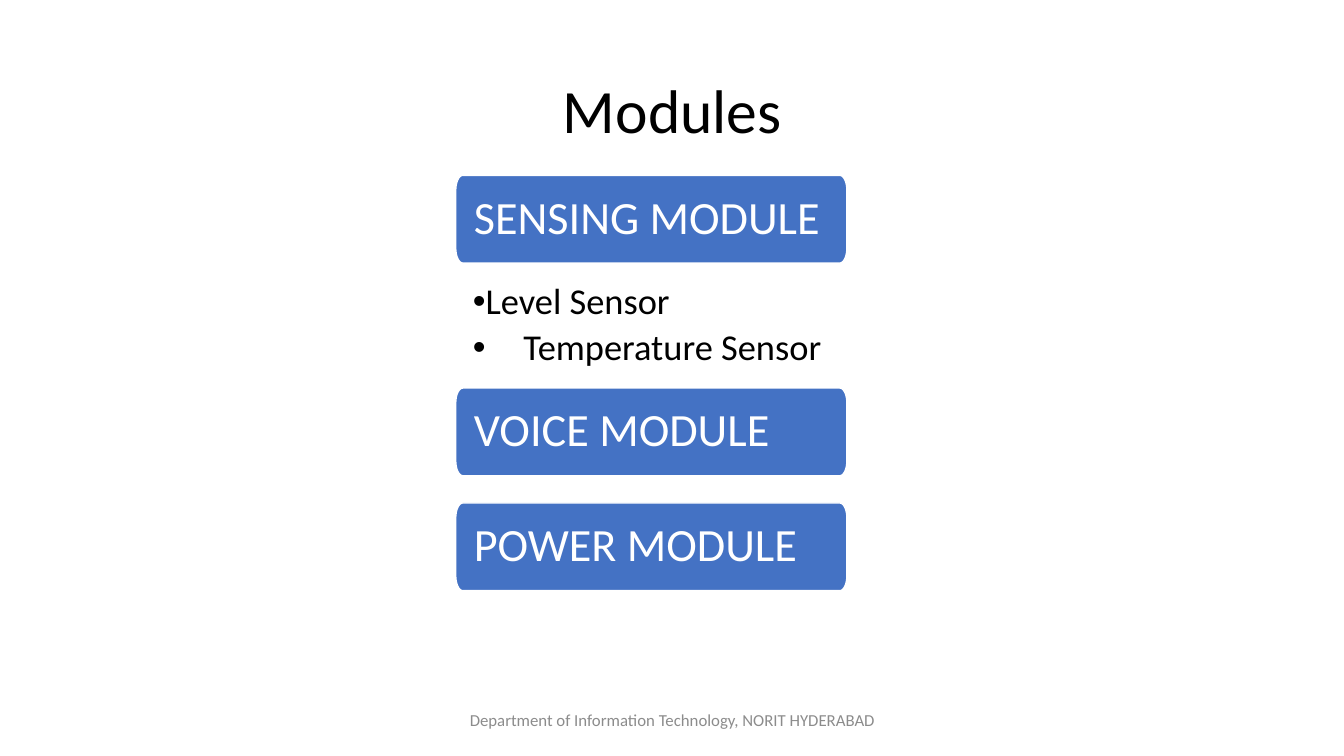
"""Builds the slide that lists the project modules."""
from math import cos, pi, sin

from pptx import Presentation, util as u
from pptx.dml.color import RGBColor
from pptx.enum import text
from pptx.oxml import parse_xml
from pptx.oxml.ns import nsdecls

BLACK = RGBColor(0, 0, 0)
WHITE = RGBColor(255, 255, 255)
GRAY = RGBColor(0x8C, 0x8C, 0x8C)
BLUE = RGBColor(0x44, 0x72, 0xC4)
MID = text.MSO_ANCHOR.MIDDLE
TOP = text.MSO_ANCHOR.TOP
LEFT = text.PP_ALIGN.LEFT
CENTER = text.PP_ALIGN.CENTER


class Deck:
    """Holds the style and the current slide."""

    font = "Calibri"

    def __init__(self):
        self.prs = Presentation()
        self.prs.slide_width = u.Inches(13.33)
        self.prs.slide_height = u.Inches(7.5)
        self.slide = self.prs.slides.add_slide(self.prs.slide_layouts[6])

    def letter(self, shape, lines, size, color, align, anchor, pads):
        """Fills a shape with lines and returns the paragraphs."""
        frame = shape.text_frame
        frame.word_wrap = True
        frame.vertical_anchor = anchor
        frame.margin_left, frame.margin_top, frame.margin_right, frame.margin_bottom = map(u.Inches, pads)
        frame.text = "\n".join(lines)
        for para in frame.paragraphs:
            para.alignment = align
            para.line_spacing = 0.9
            para.font.name = self.font
            para.font.size = u.Pt(size)
            para.font.color.rgb = color
        return frame.paragraphs

    def label(self, box, lines, size, color=BLACK, align=CENTER, anchor=MID, pads=(0.1, 0.05, 0.1, 0.05)):
        """Adds a text box and returns its paragraphs."""
        shape = self.slide.shapes.add_textbox(*map(u.Inches, box))
        return self.letter(shape, lines, size, color, align, anchor, pads)

    def bullets(self, box, items, size):
        """Adds a bulleted list from pairs of wording and hanging indent."""
        lines = [line for line, _ in items]
        paras = self.label(box, lines, size, align=LEFT, anchor=TOP, pads=(0.27, 0.05, 0.26, 0.05))
        for para, (_, hang) in zip(paras, items):
            para.space_after = u.Pt(5)
            props = para._p.get_or_add_pPr()
            props.set("marL", str(u.Inches(hang)))
            props.set("indent", str(-u.Inches(hang)))
            mark = [f'<a:buFont {nsdecls("a")} typeface="Arial"/>', f'<a:buChar {nsdecls("a")} char="•"/>']
            for place, xml in enumerate(mark):
                props.insert(2 + place, parse_xml(xml))

    def panel(self, left, top, wide, high, line):
        """Adds a blue panel with tall elliptical corners."""
        rx, ry, steps = 0.07, 0.15, 8
        spots = []
        for turn, (x, y) in enumerate([
            (left + wide - rx, top + high - ry), (left + rx, top + high - ry),
            (left + rx, top + ry), (left + wide - rx, top + ry),
        ]):
            for step in range(steps + 1):
                angle = (turn + step / steps) * pi / 2
                spots.append((u.Inches(x + rx * cos(angle)), u.Inches(y + ry * sin(angle))))
        outline = self.slide.shapes.build_freeform(*spots[0])
        outline.add_line_segments(spots[1:], close=True)
        shape = outline.convert_to_shape()
        shape.shadow.inherit = False
        shape.fill.solid()
        shape.fill.fore_color.rgb = BLUE
        shape.line.color.rgb = WHITE
        shape.line.width = u.Pt(1)
        self.letter(shape, [line], 33, WHITE, LEFT, MID, (0.18,) * 4)


def main():
    """Draws the slide and saves it."""
    deck = Deck()
    deck.label((0.92, 0.4, 11.5, 1.45), ["Modules"], 44)
    deck.label((4.42, 6.95, 4.5, 0.4), ["Department of Information Technology, NORIT HYDERABAD"], 12, GRAY)
    for name, top in (("SENSING", 1.74), ("VOICE", 3.85), ("POWER", 4.99)):
        deck.panel(4.52, top, 3.88, 0.87, f"{name} MODULE")
    deck.bullets((4.42, 2.76, 4.17, 0.99), [("Level Sensor", 0), ("Temperature Sensor", 0.5)], 26)
    deck.prs.save("out.pptx")


if __name__ == "__main__":
    main()
